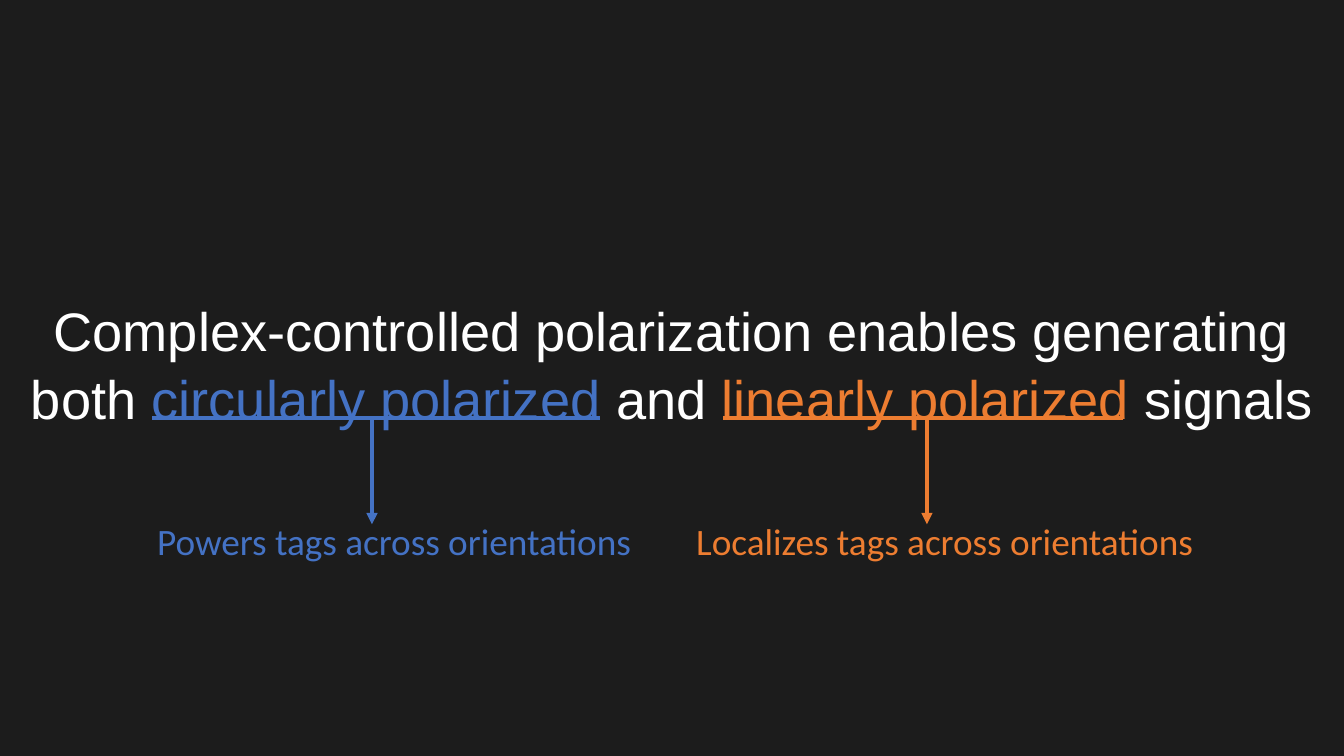
from pptx import Presentation
from pptx import util as u
from pptx.dml import color
from pptx.enum import shapes, text
from pptx.oxml import ns
from lxml import etree

HUES = {"back": "1C1C1C", "text": "FFFFFF", "blue": "4472C4", "gold": "ED7D31"}


def hue(name):
    return color.RGBColor.from_string(HUES[name])


def put(item, form):
    for key, val in form.items():
        setattr(item, key, val)


class Deck:
    """Hold the style and current slide; lengths are percent of the slide."""

    def __init__(self, wide, high):
        self.prs = Presentation()
        put(self.prs, {"slide_width": u.Inches(wide), "slide_height": u.Inches(high)})
        self.slide = self.prs.slides.add_slide(self.prs.slide_layouts[5])
        fill = self.slide.background.fill
        fill.solid()
        fill.fore_color.rgb = hue("back")

    def spot(self, x, y):
        return (u.Emu(int(self.prs.slide_width * x / 100)),
                u.Emu(int(self.prs.slide_height * y / 100)))

    def say(self, para, words, tone, size, face):
        run = para.add_run()
        run.text = words
        put(run.font, {"name": face, "size": u.Pt(size)})
        run.font.color.rgb = hue(tone)

    def title(self, x, y, w, h, parts):
        box = self.slide.shapes.title
        left, top = self.spot(x, y)
        wide, high = self.spot(w, h)
        put(box, {"left": left, "top": top, "width": wide, "height": high})
        put(box.text_frame, {
            "margin_left": 0, "margin_right": 0, "margin_top": 0,
            "margin_bottom": 0, "word_wrap": True,
            "auto_size": text.MSO_AUTO_SIZE.NONE,
            "vertical_anchor": text.MSO_ANCHOR.MIDDLE})
        para = box.text_frame.paragraphs[0]
        put(para, {"alignment": text.PP_ALIGN.CENTER, "line_spacing": 1.05})
        for words, tone in parts:
            self.say(para, words, tone, 32, "Arial")

    def label(self, x, y, w, h, words, tone):
        box = self.slide.shapes.add_textbox(*self.spot(x, y), *self.spot(w, h))
        put(box.text_frame, {
            "word_wrap": False,
            "auto_size": text.MSO_AUTO_SIZE.SHAPE_TO_FIT_TEXT})
        self.say(box.text_frame.paragraphs[0], words, tone, 22, "Calibri")

    def line(self, x1, y1, x2, y2, tone, arrow=False):
        line = self.slide.shapes.add_connector(
            shapes.MSO_CONNECTOR.STRAIGHT, *self.spot(x1, y1), *self.spot(x2, y2))
        line.line.color.rgb = hue(tone)
        line.line.width = u.Pt(2.25)
        form = line._element.spPr
        if arrow:
            tip = etree.SubElement(form.find(ns.qn("a:ln")), ns.qn("a:tailEnd"))
            tip.set("type", "triangle")
        etree.SubElement(form, ns.qn("a:effectLst"))


def main():
    deck = Deck(11.02, 6.2)
    deck.title(0, 39.19, 100, 17.42, [
        ("Complex-controlled polarization enables generating both ", "text"),
        ("circularly polarized ", "blue"),
        ("and ", "text"),
        ("linearly polarized", "gold"),
        (" signals", "text")])
    rule, tip, base = 55.32, 69.35, 67.74
    for tone, left, right, stem, edge, wide, words in (
            ("blue", 11.34, 44.65, 27.68, 10.8, 37.57, "Powers tags across orientations"),
            ("gold", 53.81, 83.58, 68.97, 50.91, 39.2, "Localizes tags across orientations")):
        deck.line(left, rule, right, rule, tone)
        deck.line(stem, rule, stem, tip, tone, arrow=True)
        deck.label(edge, base, wide, 7.58, words, tone)
    deck.prs.save("out.pptx")


if __name__ == "__main__":
    main()
